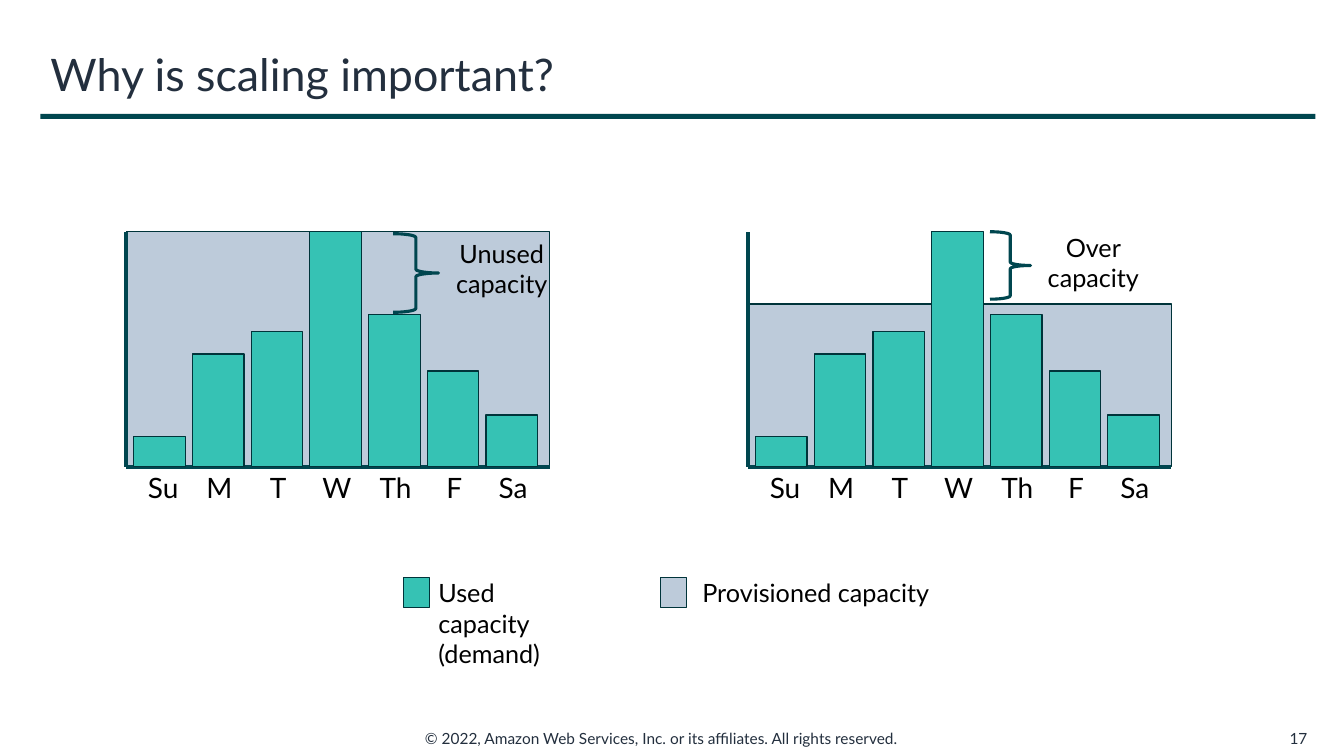
"""Build the slide that compares unused capacity with over capacity."""
from lxml.etree import SubElement
from pptx import Presentation
from pptx.dml.color import RGBColor
from pptx.enum.shapes import MSO_CONNECTOR, MSO_SHAPE
from pptx.enum.text import MSO_ANCHOR, PP_ALIGN
from pptx.oxml.ns import qn
from pptx.util import Cm, Pt

TEAL, DARK_TEAL, OUTLINE = "36C2B4", "00464F", "00343A"
PROVISIONED, NAVY, BLACK = "BDCBDA", "232F3E", "000000"


def add_box(shapes, kind, left, top, width, height, fill=None, line=None, weight=0.85):
    box = shapes.add_shape(kind, Cm(left), Cm(top), Cm(width), Cm(height))
    box.shadow.inherit = False
    if fill:
        box.fill.solid()
        box.fill.fore_color.rgb = RGBColor.from_string(fill)
    else:
        box.fill.background()
    if line:
        box.line.color.rgb = RGBColor.from_string(line)
        box.line.width = Pt(weight)
    else:
        box.line.fill.background()


def add_label(shapes, text, left, top, width, height, size, color=BLACK,
              align=PP_ALIGN.LEFT, anchor=MSO_ANCHOR.TOP, tabs=()):
    frame = shapes.add_textbox(Cm(left), Cm(top), Cm(width), Cm(height)).text_frame
    frame.word_wrap = True
    frame.vertical_anchor = anchor
    frame.text = text
    for paragraph in frame.paragraphs:
        paragraph.alignment = align
        if tabs:
            stops = SubElement(paragraph._p.get_or_add_pPr(), qn("a:tabLst"))
            for stop in tabs:
                SubElement(stops, qn("a:tab"), pos=str(Cm(stop)), algn="ctr")
        for run in paragraph.runs:
            run.font.name = "Lato"
            run.font.size = Pt(size)
            run.font.color.rgb = RGBColor.from_string(color)


presentation = Presentation()
presentation.slide_width, presentation.slide_height = Cm(33.87), Cm(19.05)
slide = presentation.slides.add_slide(presentation.slide_layouts[6])

add_label(slide.shapes, "© 2022, Amazon Web Services, Inc. or its affiliates. All rights reserved.",
          10.46, 18.24, 12.93, 0.74, 11, NAVY)
add_box(slide.shapes, MSO_SHAPE.RECTANGLE, 1.02, 2.87, 32.13, 0.13, DARK_TEAL)
add_label(slide.shapes, "17", 31.85, 18.24, 1.35, 0.74, 11, NAVY, PP_ALIGN.RIGHT, MSO_ANCHOR.MIDDLE)
add_label(slide.shapes, "Why is scaling important?", 1.02, 0.84, 32.13, 2.03, 32, NAVY,
          anchor=MSO_ANCHOR.MIDDLE)

demand = {"Su": 0.76, "M": 2.84, "T": 3.4, "W": 5.92, "Th": 3.84, "F": 2.41, "Sa": 1.3}
plot_top, baseline, plot_width = 5.84, 11.76, 10.67
bar_width, bar_step = 1.3, 1.48
day_tabs = [0.32 + bar_step * day for day in range(1, len(demand))]

scenarios = [
    (3.18, 5.92, "Unused\ncapacity", (7.8, 5.87), (6.73, 5.89, 1.14, 1.98)),
    (18.85, 4.1, "Over\ncapacity", (7.04, 5.72), (6.1, 5.84, 1.02, 1.7)),
]
for origin, capacity, note, (note_left, note_top), (brace_left, *brace_rest) in scenarios:
    chart = slide.shapes.add_group_shape().shapes
    add_box(chart, MSO_SHAPE.RECTANGLE, origin, baseline - capacity, plot_width, capacity,
            PROVISIONED, OUTLINE)
    for end_x, end_y in [(origin, plot_top), (origin + plot_width, baseline)]:
        axis = chart.add_connector(MSO_CONNECTOR.STRAIGHT, Cm(origin), Cm(baseline),
                                   Cm(end_x), Cm(end_y))
        axis.line.color.rgb = RGBColor.from_string(DARK_TEAL)
        axis.line.width = Pt(3)
        SubElement(axis._element.spPr, qn("a:effectLst"))
    add_label(chart, "\t".join(demand), origin + 0.3, 11.73, 10.47, 1.12, 20, tabs=day_tabs)
    for day, used in enumerate(demand.values()):
        add_box(chart, MSO_SHAPE.RECTANGLE, origin + 0.19 + bar_step * day, baseline - used,
                bar_width, used, TEAL, OUTLINE)
    add_label(chart, note, origin + note_left, note_top, 3.33, 1.8, 18, align=PP_ALIGN.CENTER)
    add_box(chart, MSO_SHAPE.RIGHT_BRACE, origin + brace_left, *brace_rest,
            line=DARK_TEAL, weight=2.25)

legend = slide.shapes.add_group_shape().shapes
for name, swatch_left, name_left, name_width, color in [
    ("Used capacity\v(demand)", 10.16, 10.8, 3.3, TEAL),
    ("Provisioned capacity", 16.64, 17.45, 6.6, PROVISIONED),
]:
    add_label(legend, name, name_left, 14.43, name_width, 1.02, 18)
    add_box(legend, MSO_SHAPE.RECTANGLE, swatch_left, 14.55, 0.66, 0.76, color, OUTLINE)

presentation.save("out.pptx")
